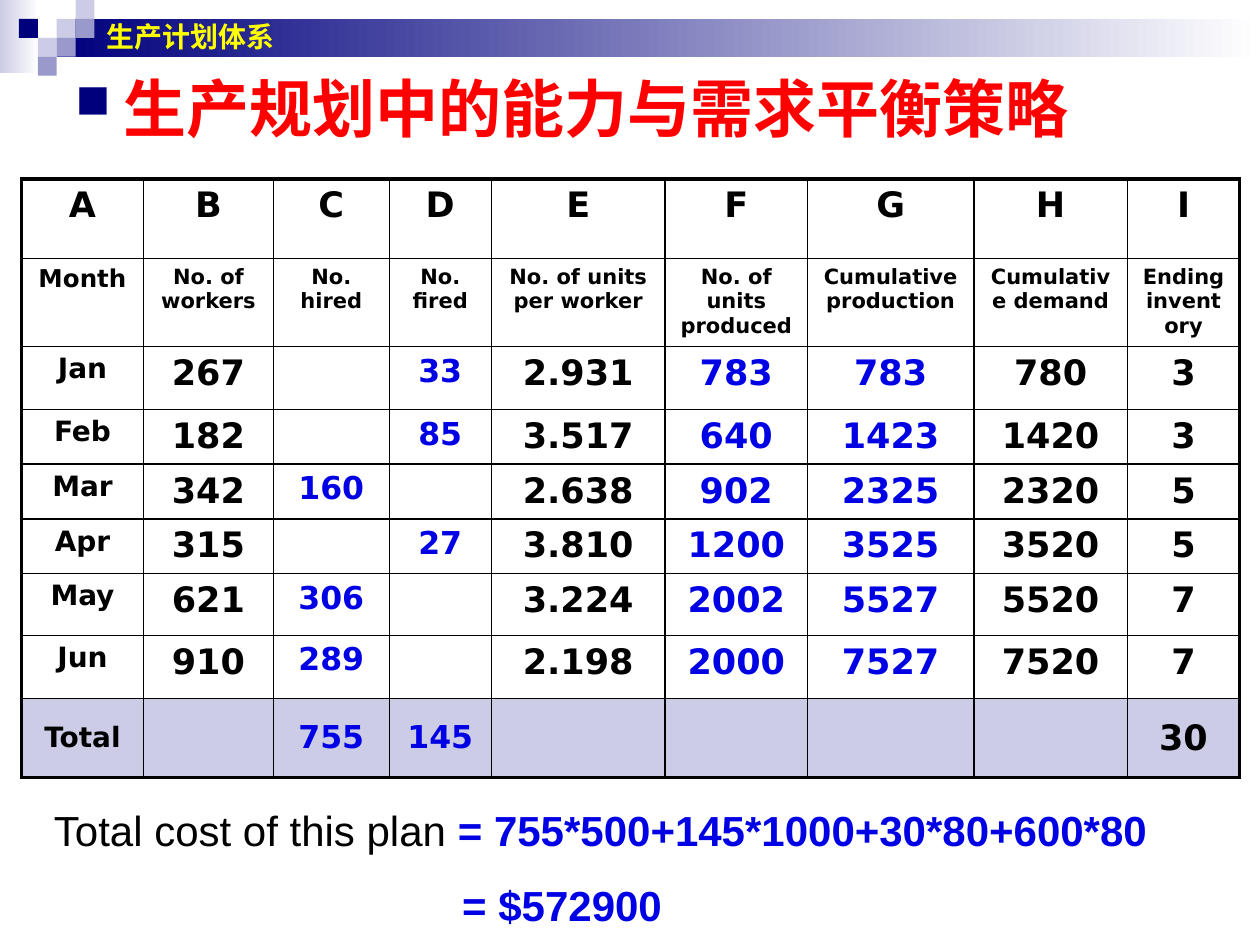
from lxml import etree
from pptx import Presentation
from pptx import util as u
from pptx.dml.color import RGBColor
from pptx.enum import shapes, text
from pptx.oxml.ns import qn

NAVY, LILAC, MAUVE = "00007D", "CCCCE6", "9999CC"
BLACK, BLUE, RED, YELLOW, WHITE = "000000", "0000E4", "FF0000", "FFFF00", "FFFFFF"

HEADS = ["Month", "No. of workers", "No. hired", "No. fired",
         "No. of units per worker", "No. of units produced",
         "Cumulative production", "Cumulative demand", "Ending inventory"]
ROWS = [
    list("ABCDEFGHI"),
    HEADS,
    ["Jan", "267", "", "33", "2.931", "783", "783", "780", "3"],
    ["Feb", "182", "", "85", "3.517", "640", "1423", "1420", "3"],
    ["Mar", "342", "160", "", "2.638", "902", "2325", "2320", "5"],
    ["Apr", "315", "", "27", "3.810", "1200", "3525", "3520", "5"],
    ["May", "621", "306", "", "3.224", "2002", "5527", "5520", "7"],
    ["Jun", "910", "289", "", "2.198", "2000", "7527", "7520", "7"],
    ["Total", "", "755", "145", "", "", "", "", "30"],
]
WIDTHS = [0.97, 1.03, 0.92, 0.81, 1.38, 1.13, 1.32, 1.22, 0.89]
HEIGHTS = [0.63, 0.7, 0.5, 0.43, 0.43, 0.43, 0.49, 0.5, 0.63]
SIZES = [16, 20, 18, 18, 20, 20, 20, 20, 20]
BLUES = {2, 3, 5, 6}


def color(code):
    return RGBColor.from_string(code)


def add_run(para, words, size, tint, face, bold=True):
    run = para.add_run()
    run.text = words
    run.font.size = u.Pt(size)
    run.font.name = face
    run.font.bold = bold
    run.font.color.rgb = color(tint)


def add_rect(slide, box, tint, fade=None):
    """Draw a plain rectangle, fading from left to right if fade is given."""
    rect = slide.shapes.add_shape(shapes.MSO_SHAPE.RECTANGLE, *map(u.Inches, box))
    rect.shadow.inherit = False
    rect.line.fill.background()
    if fade:
        rect.fill.gradient()
        rect.fill.gradient_angle = 0
        for stop, code in zip(rect.fill.gradient_stops, (tint, fade)):
            stop.color.rgb = color(code)
    else:
        rect.fill.solid()
        rect.fill.fore_color.rgb = color(tint)


def add_box(slide, box, anchor=text.MSO_ANCHOR.TOP):
    frame = slide.shapes.add_textbox(*map(u.Inches, box)).text_frame
    frame.word_wrap = True
    frame.vertical_anchor = anchor
    return frame


def add_banner(slide, left, top, width):
    side = 0.15
    add_rect(slide, (left, top, 0.31, 0.58), LILAC, WHITE)
    add_rect(slide, (left + 3 * side, top + side, width - 3 * side, 2 * side), NAVY, WHITE)
    tiles = [(3, 1, LILAC), (4, 0, LILAC), (4, 1, MAUVE), (2, 2, LILAC),
             (1, 1, NAVY), (3, 2, MAUVE), (2, 3, MAUVE)]
    for col, row, tint in tiles:
        add_rect(slide, (left + col * side, top + row * side, side, side), tint)
    frame = add_box(slide, (left + 0.75, top, 8.83, 0.58), text.MSO_ANCHOR.MIDDLE)
    add_run(frame.paragraphs[0], "生产计划体系", 16, YELLOW, "Arial")


def add_title(slide, box):
    para = add_box(slide, box).paragraphs[0]
    props = para._p.get_or_add_pPr()
    props.set("marL", str(u.Inches(0.38)))
    props.set("indent", str(-u.Inches(0.38)))
    tint = etree.SubElement(props, qn("a:buClr"))
    etree.SubElement(tint, qn("a:srgbClr"), val=NAVY)
    etree.SubElement(props, qn("a:buSzPct"), val="75000")
    etree.SubElement(props, qn("a:buChar"), char="■")
    add_run(para, "生产规划中的能力与需求平衡策略", 36, RED, "Times New Roman")


def set_edges(cell, row, col):
    """Rule all four sides, heavier along the outside of the table."""
    outer = {"L": col == 0, "R": col == len(WIDTHS) - 1,
             "T": row == 0, "B": row == len(ROWS) - 1}
    props = cell._tc.get_or_add_tcPr()
    for side, thick in outer.items():
        line = etree.SubElement(props, qn("a:ln" + side), w=str(u.Pt(2.25 if thick else 1)))
        fill = etree.SubElement(line, qn("a:solidFill"))
        etree.SubElement(fill, qn("a:srgbClr"), val=BLACK)


def cell_style(row, col):
    if row == 0:
        return 20, BLACK
    if row == 1:
        return (14 if col == 0 else 12), BLACK
    return SIZES[col], BLUE if col in BLUES else BLACK


def add_plan(slide, left, top):
    box = map(u.Inches, (left, top, sum(WIDTHS), sum(HEIGHTS)))
    table = slide.shapes.add_table(len(ROWS), len(WIDTHS), *box).table
    table.first_row = table.horz_banding = False
    for col, width in zip(table.columns, WIDTHS):
        col.width = u.Inches(width)
    for row, height in zip(table.rows, HEIGHTS):
        row.height = u.Inches(height)
    for r, items in enumerate(ROWS):
        for c, words in enumerate(items):
            cell = table.cell(r, c)
            set_edges(cell, r, c)
            if r == len(ROWS) - 1:
                cell.fill.solid()
                cell.fill.fore_color.rgb = color(LILAC)
                cell.vertical_anchor = text.MSO_ANCHOR.MIDDLE
            else:
                cell.fill.background()
            if words:
                para = cell.text_frame.paragraphs[0]
                para.alignment = text.PP_ALIGN.CENTER
                add_run(para, words, *cell_style(r, c), "DejaVu Sans")


def add_cost(slide, box):
    frame = add_box(slide, box, text.MSO_ANCHOR.MIDDLE)
    para = frame.paragraphs[0]
    add_run(para, "Total cost of this plan ", 24, BLACK, "Arial", False)
    add_run(para, "= 755*500+145*1000+30*80+600*80", 24, BLUE, "Arial")
    para = frame.add_paragraph()
    para.space_before = u.Pt(14)
    para._p.get_or_add_pPr().set("marL", str(u.Inches(3.24)))
    add_run(para, "= $572900", 24, BLUE, "Arial")


def main():
    deck = Presentation()
    deck.slide_width, deck.slide_height = u.Inches(10), u.Inches(7.5)
    slide = deck.slides.add_slide(deck.slide_layouts[6])
    add_banner(slide, 0, 0, 10)
    add_plan(slide, 0.17, 1.42)
    add_cost(slide, (0.33, 6.33, 9.21, 1.11))
    add_title(slide, (0.5, 0.5, 9, 1.5))
    deck.save("out.pptx")


if __name__ == "__main__":
    main()
